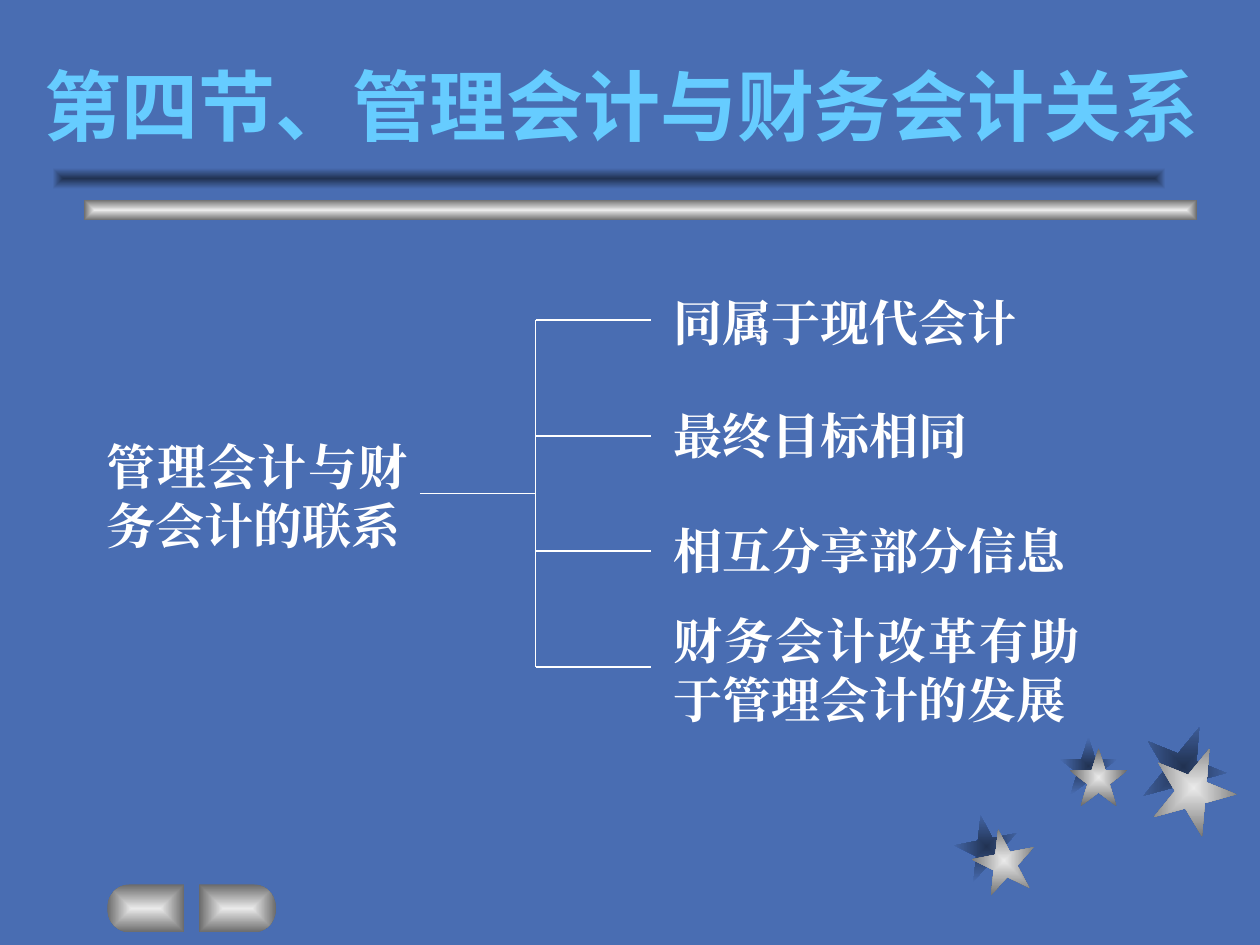
import math

import lxml.etree
import pptx
import pptx.dml.color
import pptx.enum.dml
import pptx.enum.shapes
import pptx.enum.text
import pptx.oxml.ns
import pptx.util

Pt = pptx.util.Pt
qn = pptx.oxml.ns.qn
SHAPES = pptx.enum.shapes.MSO_SHAPE
SILVER = ("EAEAEA", "6B6B6B")
SHADE = ("213252", "496DB2")


def colour(hex_code):
    """Return the RGB colour for a hex string."""
    return pptx.dml.color.RGBColor.from_string(hex_code)


def fill_from_centre(shape, centre, edge):
    """Give a shape a borderless gradient running from its centre to its edges."""
    shape.shadow.inherit = False
    shape.line.fill.background()
    shape.fill.gradient()
    for stop, position, hex_code in zip(shape.fill.gradient_stops, (0, 1), (centre, edge)):
        stop.position = position
        stop.color.rgb = colour(hex_code)
    gradient = shape._element.spPr.find(qn("a:gradFill"))
    gradient.remove(gradient.find(qn("a:lin")))
    route = lxml.etree.SubElement(gradient, qn("a:path"), {"path": "rect"})
    middle = {side: "50000" for side in "ltrb"}
    lxml.etree.SubElement(route, qn("a:fillToRect"), middle)


def add_ornament(slide, kind, left, top, width, height, tones, rotation=0):
    """Add a preset shape with a gradient."""
    ornament = slide.shapes.add_shape(kind, Pt(left), Pt(top), Pt(width), Pt(height))
    ornament.rotation = rotation
    fill_from_centre(ornament, *tones)


def add_button(slide, flat_x, direction):
    """Add a button with one flat side and one rounded side."""
    top, height, straight, bulge, steps = 505.4, 27.4, 31, 13, 20
    outline = []
    for step in range(steps + 1):
        angle = math.pi * step / steps
        x = flat_x + direction * (straight + bulge * math.sin(angle))
        y = top + height / 2 * (1 - math.cos(angle))
        outline.append((Pt(x), Pt(y)))
    outline.append((Pt(flat_x), Pt(top + height)))
    builder = slide.shapes.build_freeform(Pt(flat_x), Pt(top))
    builder.add_line_segments(outline, close=True)
    fill_from_centre(builder.convert_to_shape(), *SILVER)


def format_font(paragraph, name, size, hex_code):
    """Set a bold font for Latin and East Asian text."""
    font = paragraph.font
    font.name, font.size, font.bold = name, Pt(size), True
    font.color.rgb = colour(hex_code)
    lxml.etree.SubElement(font._rPr, qn("a:ea"), {"typeface": name})


def add_label(slide, text, left, top, width, height):
    """Add a justified white label."""
    label = slide.shapes.add_textbox(Pt(left), Pt(top), Pt(width), Pt(height))
    frame = label.text_frame
    frame.word_wrap = True
    frame.auto_size = pptx.enum.text.MSO_AUTO_SIZE.SHAPE_TO_FIT_TEXT
    frame.text = text
    paragraph = frame.paragraphs[0]
    paragraph.alignment = pptx.enum.text.PP_ALIGN.JUSTIFY
    format_font(paragraph, "Times New Roman", 28, "FFFFFF")


def add_line(slide, x1, y1, x2, y2):
    """Add a thin white line."""
    line = slide.shapes.add_connector(
        pptx.enum.shapes.MSO_CONNECTOR.STRAIGHT, Pt(x1), Pt(y1), Pt(x2), Pt(y2))
    line.line.color.rgb = colour("FFFFFF")
    line.line.width = Pt(1)
    lxml.etree.SubElement(line._element.spPr, qn("a:effectLst"))


def set_title(slide, text):
    """Place and format the slide title."""
    title = slide.shapes.title
    title.left, title.top, title.width, title.height = Pt(18), Pt(36), Pt(684), Pt(54)
    frame = title.text_frame
    frame.text = text
    frame.word_wrap = True
    frame.auto_size = pptx.enum.text.MSO_AUTO_SIZE.NONE
    frame.vertical_anchor = pptx.enum.text.MSO_ANCHOR.BOTTOM
    frame.paragraphs[0].alignment = pptx.enum.text.PP_ALIGN.LEFT
    format_font(frame.paragraphs[0], "Noto Sans CJK SC", 44, "66CCFF")


def add_decoration(slide):
    """Add the stars, the title bars and the buttons."""
    stars = {
        SHADE: ((545.8, 465.8, 36, 349), (605.5, 421.2, 33, 0), (652.3, 414, 48, 22)),
        SILVER: ((555.8, 473.8, 36, 349), (611.3, 427.7, 33, 0), (658.1, 426.2, 48, 22)),
    }
    for tones, places in stars.items():
        for left, top, size, rotation in places:
            add_ornament(slide, SHAPES.STAR_5_POINT, left, top, size, size, tones, rotation)
    for left, top, tones in ((48, 114, SILVER), (30, 96, SHADE)):
        add_ornament(slide, SHAPES.RECTANGLE, left, top, 636, 12, tones)
    add_button(slide, 105.3, -1)
    add_button(slide, 113.8, 1)


def add_bracket(slide):
    """Add the topic and the bracket leading to its four points."""
    stem_x, first_y, gap = 306, 183, 66
    points = (
        ("同属于现代会计", 163.4, 216, 41),
        ("最终目标相同", 228.4, 216, 41),
        ("相互分享部分信息", 293.8, 246, 41),
        ("财务会计改革有助于管理会计的发展", 345.6, 246, 75),
    )
    last_y = first_y + gap * (len(points) - 1)
    middle_y = (first_y + last_y) / 2
    add_label(slide, "管理会计与财务会计的联系", 54, 246, 186, 75)
    add_line(slide, 240, middle_y, stem_x, middle_y)
    add_line(slide, stem_x, first_y, stem_x, last_y)
    for index, (text, top, width, height) in enumerate(points):
        branch_y = first_y + gap * index
        add_line(slide, stem_x, branch_y, 372, branch_y)
        add_label(slide, text, 378, top, width, height)


def main():
    """Build and save the slide."""
    deck = pptx.Presentation()
    deck.slide_width, deck.slide_height = Pt(720), Pt(540)
    slide = deck.slides.add_slide(deck.slide_layouts[5])
    slide.background.fill.solid()
    slide.background.fill.fore_color.rgb = colour("496DB2")
    add_decoration(slide)
    set_title(slide, "第四节、管理会计与财务会计关系")
    add_bracket(slide)
    deck.save("out.pptx")


if __name__ == "__main__":
    main()
